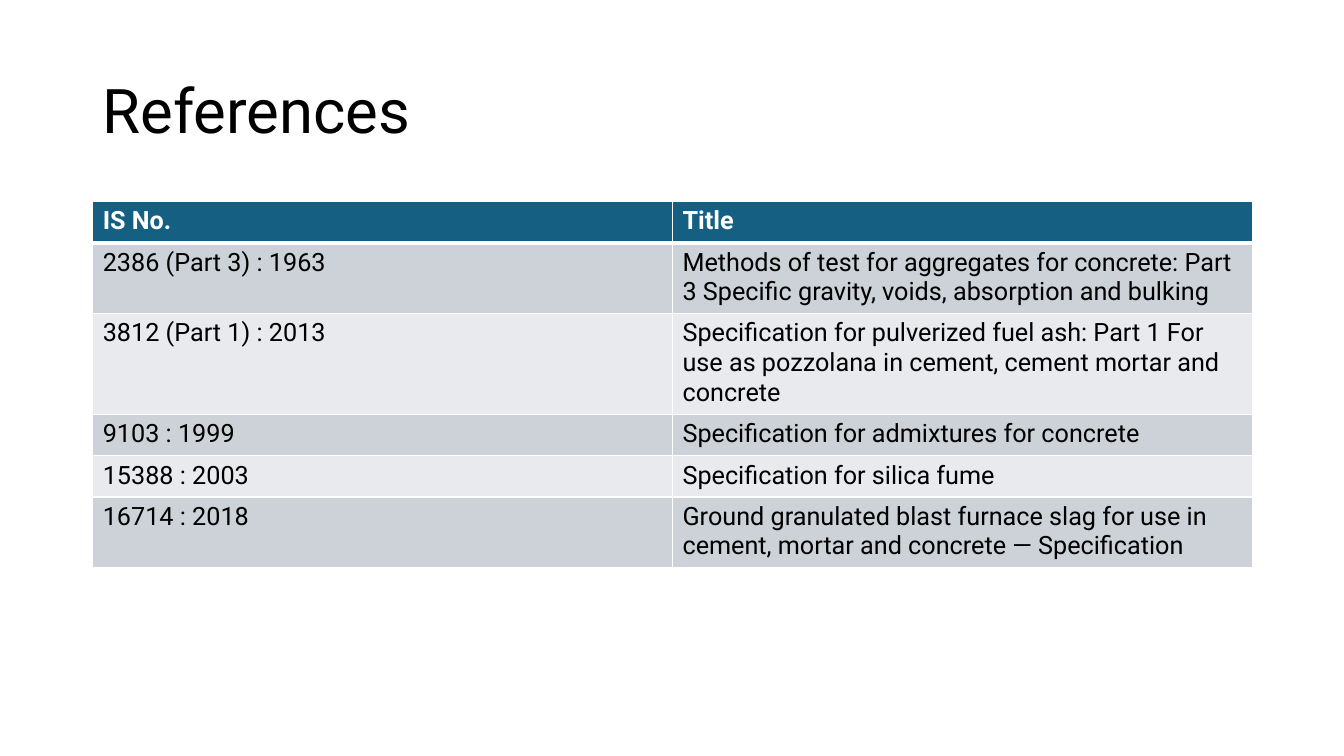
from lxml.etree import SubElement
from pptx import Presentation
from pptx.dml.color import RGBColor
from pptx.enum.text import MSO_ANCHOR
from pptx.oxml.ns import qn
from pptx.util import Inches, Pt

COLORS = {
    "text": "000000",
    "white": "FFFFFF",
    "header": "156082",
    "band_dark": "CCD2D8",
    "band_light": "E8EAED",
}
STANDARDS = [
    ("IS No.", "Title"),
    ("2386 (Part 3) : 1963",
     "Methods of test for aggregates for concrete: Part 3 Specific gravity, "
     "voids, absorption and bulking"),
    ("3812 (Part 1) : 2013",
     "Specification for pulverized fuel ash: Part 1 For use as pozzolana in "
     "cement, cement mortar and concrete"),
    ("9103 : 1999", "Specification for admixtures for concrete"),
    ("15388 : 2003", "Specification for silica fume"),
    ("16714 : 2018",
     "Ground granulated blast furnace slag for use in cement, mortar and "
     "concrete — Specification"),
]


def write_text(tf, text, *, font, size, color="text", bold=False, spacing=None):
    p = tf.paragraphs[0]
    p.line_spacing = spacing
    r = p.add_run()
    r.text = text
    r.font.name = font
    r.font.size = Pt(size)
    r.font.bold = bold
    r.font.color.rgb = RGBColor.from_string(COLORS[color])


class SlideBuilder:
    font = "Roboto"
    left = Inches(0.92)
    width = Inches(11.5)

    def __init__(self, prs):
        self.slide = prs.slides.add_slide(prs.slide_layouts[6])

    def title(self, text, top, height):
        sp = self.slide.shapes.add_textbox(self.left, top, self.width, height)
        tf = sp.text_frame
        tf.word_wrap = True
        tf.vertical_anchor = MSO_ANCHOR.MIDDLE
        write_text(tf, text, font=self.font, size=44, spacing=0.9)

    def borders(self, cell, **widths):
        tcPr = cell._tc.get_or_add_tcPr()
        for side in "LRTB":
            ln = SubElement(tcPr, qn(f"a:ln{side}"), w=str(Pt(widths.get(side, 1))))
            fill = SubElement(ln, qn("a:solidFill"))
            SubElement(fill, qn("a:srgbClr"), val=COLORS["white"])

    def table(self, rows, top, row_height):
        frame = self.slide.shapes.add_table(
            len(rows), len(rows[0]), self.left, top, self.width, row_height * len(rows))
        for i, row in enumerate(rows):
            header = i == 0
            fill = "header" if header else "band_dark" if i % 2 else "band_light"
            for j, text in enumerate(row):
                cell = frame.table.cell(i, j)
                self.borders(cell, T=3 if i == 1 else 1, B=3 if header else 1)
                cell.fill.solid()
                cell.fill.fore_color.rgb = RGBColor.from_string(COLORS[fill])
                write_text(cell.text_frame, text, font=self.font, size=18,
                           color="white" if header else "text", bold=header)


def main():
    prs = Presentation()
    prs.slide_width, prs.slide_height = Inches(13.33), Inches(7.5)
    s = SlideBuilder(prs)
    s.title("References", Inches(0.4), Inches(1.45))
    s.table(STANDARDS, Inches(2), Inches(0.41))
    prs.save("out.pptx")


if __name__ == "__main__":
    main()
